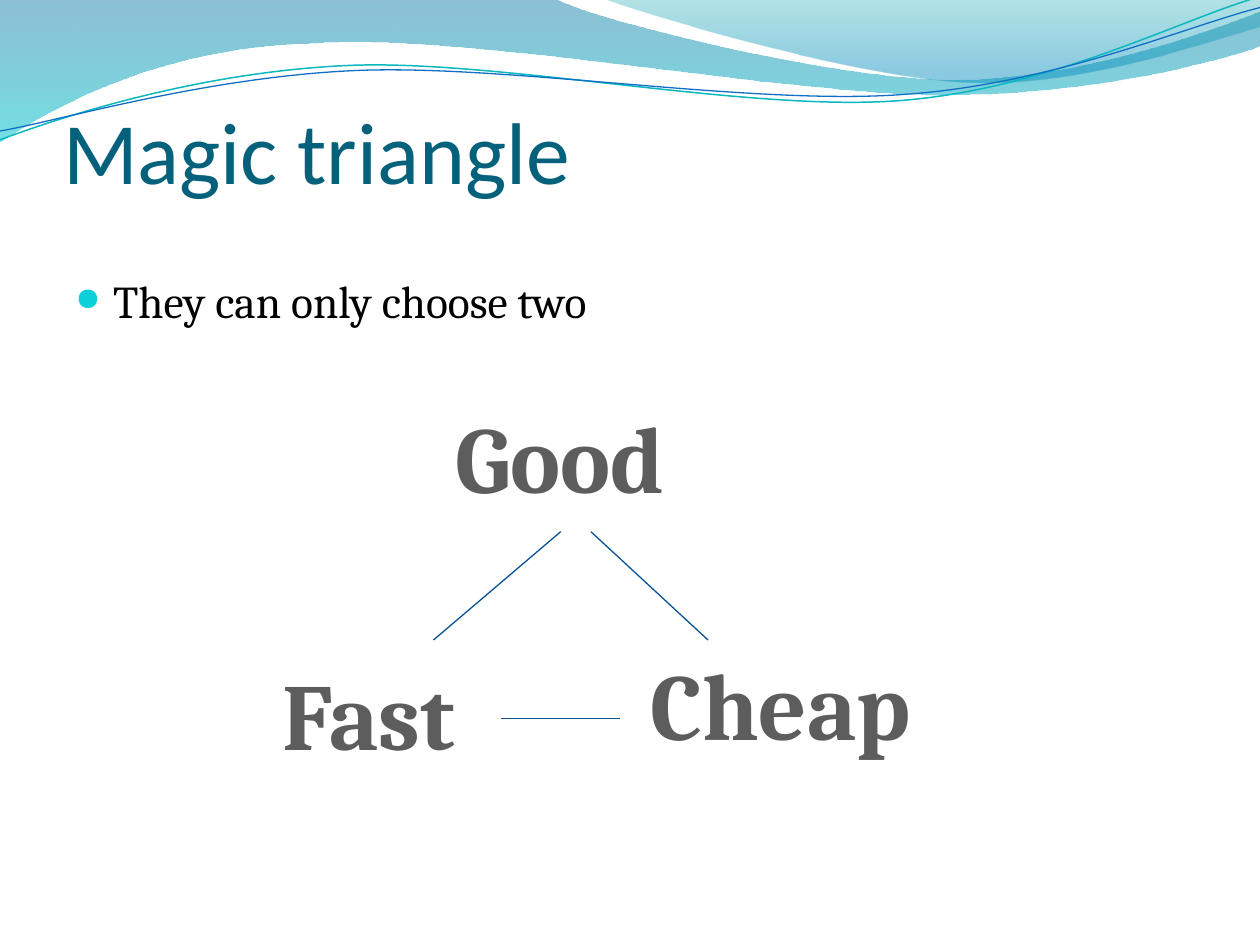
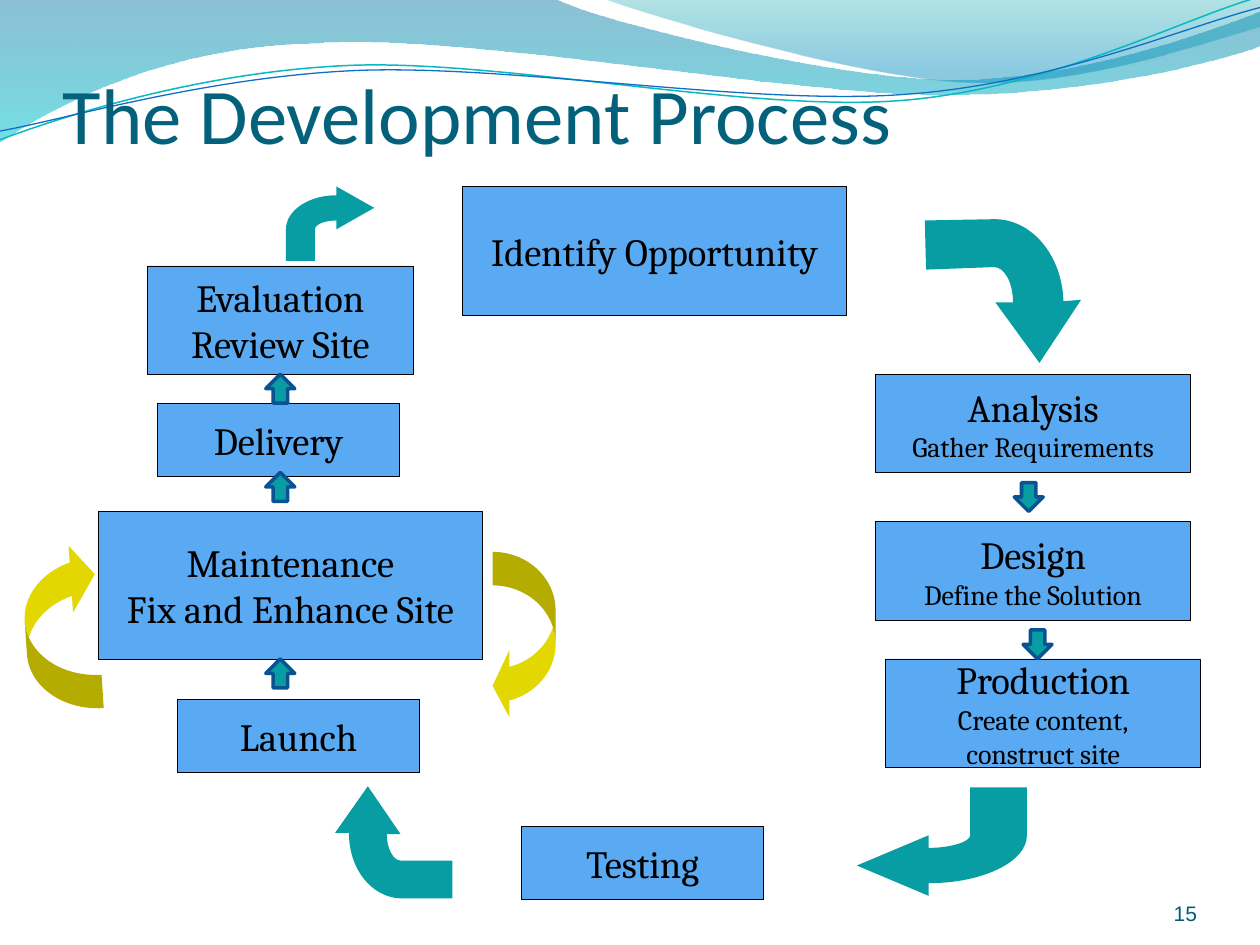
from lxml import etree
from pptx import Presentation
from pptx.dml.color import RGBColor as RGB
from pptx.enum import shapes as es, text as et
from pptx.oxml import ns
from pptx.util import Inches, Pt

NAVY = RGB(0x04, 0x61, 0x7B)
BLACK = RGB(0, 0, 0)
GREY = RGB(0x5D, 0x5D, 0x5D)
SKY = RGB(0x59, 0xAA, 0xF2)
TEAL = RGB(0x08, 0x9C, 0xA3)
GOLD = RGB(0xE2, 0xD7, 0x00)
EDGE = RGB(0x0B, 0x52, 0x92)
LINK = RGB(0x09, 0x52, 0x95)
FOOT = RGB(0x04, 0x5D, 0x75)
AQUA = RGB(0x0A, 0xB8, 0xBF)
BLUE = RGB(0x0F, 0x6F, 0xC6)
DOT = RGB(0x0B, 0xD0, 0xD9)

BANDS = [
    ([(0, 0), (4.4, -.01), (4.76, .17, 6.64, .63, 7.58, .63),
      (8.53, .63, 9.58, .26, 10, .09), (10.01, .36),
      (9.83, .44, 8.7, .76, 7.46, .75), (6.22, .75, 3.82, .28, 2.57, .34),
      (1.29, .36, .46, .83, -.01, 1.13)],
     [(0, RGB(0, 0x74, 0xA1), 45), (1, RGB(0, 0xC6, 0xCF), 55)]),
    ([(4.79, -.01), (5.09, .11, 6.82, .62, 7.69, .65),
      (8.56, .69, 9.61, .32, 10, .21), (10, 0)],
     [(0, RGB(0, 0xA1, 0xA9), 30), (.8, RGB(0, 0x8B, 0xBF), 45)]),
]
WAVES = [
    ([(0, 1.11), (.48, .93, 1.58, .57, 2.77, .52),
      (3.95, .47, 5.93, .89, 7.13, .8), (8.33, .71, 9.38, .15, 9.98, -.02)],
     AQUA, .85),
    ([(0, 1.04), (.47, .96, 1.64, .61, 2.83, .56),
      (4.03, .51, 5.97, .84, 7.17, .75), (8.36, .67, 9.41, .21, 10, .06)],
     BLUE, .75),
]

GOALS = [("Cheap", (5, 5.08, 2.39, 1.01)), ("Fast", (2.11, 5.16, 1.64, 1.01)),
         ("Good", (3.44, 3.12, 2.01, 1.01))]
SIDES = [(4.45, 4.22, 3.44, 5.08), (4.69, 4.22, 5.62, 5.08),
         (3.98, 5.7, 4.92, 5.7)]

STEPS = [
    ((3.67, 1.48, 3.05, 1.02), [("Identify Opportunity", 22)]),
    ((6.95, 2.97, 2.5, .78), [("Analysis", 22), ("Gather Requirements", 16)]),
    ((6.95, 4.14, 2.5, .78), [("Design", 22), ("Define the Solution", 16)]),
    ((7.03, 5.23, 2.5, .86), [("Production", 22), ("Create content,", 16),
                              ("construct site", 16)]),
    ((4.14, 6.56, 1.92, .58), [("Testing", 22)]),
    ((1.41, 5.55, 1.92, .58), [("Launch", 22)]),
    ((.78, 4.06, 3.05, 1.17), [("Maintenance", 22),
                               ("Fix and Enhance Site", 22)]),
    ((1.25, 3.2, 1.92, .58), [("Delivery", 22)]),
    ((1.17, 2.11, 2.11, .86), [("Evaluation", 22), ("Review Site", 22)]),
]
TURNS = [
    [(2.97, 1.65), (2.67, 1.48), (2.67, 1.55),
     (2.45, 1.55, 2.27, 1.67, 2.27, 1.82), (2.27, 2.07), (2.5, 2.07),
     (2.5, 1.82), (2.5, 1.78, 2.58, 1.75, 2.67, 1.75), (2.67, 1.82)],
    [(8.25, 2.88), (8.58, 2.38), (8.44, 2.39),
     (8.43, 2.02, 8.18, 1.73, 7.88, 1.74), (7.34, 1.75), (7.35, 2.14),
     (7.89, 2.12), (7.97, 2.12, 8.04, 2.24, 8.04, 2.4), (7.9, 2.4)],
    [(6.8, 6.87), (7.37, 7.11), (7.37, 7.01),
     (7.8, 7.01, 8.15, 6.84, 8.15, 6.63), (8.15, 6.25), (7.7, 6.25),
     (7.7, 6.63), (7.7, 6.68, 7.55, 6.73, 7.37, 6.73), (7.37, 6.63)],
    [(2.92, 6.24), (2.66, 6.61), (2.77, 6.61),
     (2.77, 6.9, 2.95, 7.12, 3.18, 7.13), (3.59, 7.13), (3.59, 6.83),
     (3.18, 6.83), (3.12, 6.83, 3.07, 6.73, 3.07, 6.62), (3.18, 6.62)],
]
KIND = es.MSO_SHAPE
LOOPS = [((3.91, 4.38, .5, 1.33), 0, (.533, 1.067, .267)),
         ((.2, 4.31, .58, 1.33), 176.2, (.457, .914, .333))]
HOPS = [(KIND.DOWN_ARROW, 8.05, 3.83), (KIND.DOWN_ARROW, 8.12, 5),
        (KIND.UP_ARROW, 2.11, 3.75), (KIND.UP_ARROW, 2.11, 5.23),
        (KIND.UP_ARROW, 2.11, 2.97)]

MID, END = et.PP_ALIGN.CENTER, et.PP_ALIGN.RIGHT
TOP, LOW = et.MSO_ANCHOR.TOP, et.MSO_ANCHOR.BOTTOM


def put(obj, **vals):
    for key, val in vals.items():
        setattr(obj, key, val)


def paint(shape, fill=None, line=None, width=1):
    shape.shadow.inherit = False
    if fill is None:
        shape.fill.background()
    else:
        shape.fill.solid()
        shape.fill.fore_color.rgb = fill
    if line is None:
        shape.line.fill.background()
    else:
        shape.line.color.rgb = line
        shape.line.width = Pt(width)


def write(shape, lines, face, ink, align=None, anchor=TOP, wrap=True,
          bold=False, pad=None):
    frame = shape.text_frame
    put(frame, word_wrap=wrap, vertical_anchor=anchor)
    if pad:
        sides = ("left", "top", "right", "bottom")
        put(frame, **{"margin_" + s: Inches(p) for s, p in zip(sides, pad)})
    for i, (words, size) in enumerate(lines):
        para = frame.add_paragraph() if i else frame.paragraphs[0]
        para.alignment = align
        run = para.add_run()
        run.text = words
        put(run.font, name=face, size=Pt(size), bold=bold)
        run.font.color.rgb = ink
    return frame


def label(slide, box, lines, face, ink, **form):
    area = slide.shapes.add_textbox(*map(Inches, box))
    return write(area, lines, face, ink, **form)


def outline(slide, steps, close=True):
    dots = [(Inches(s[i]), Inches(s[i + 1]))
            for s in steps for i in range(0, len(s), 2)]
    pen = slide.shapes.build_freeform(*dots[0], scale=1.0)
    pen.add_line_segments(dots[1:], close=close)
    shape = pen.convert_to_shape()
    legs = iter(list(shape._element.spPr.iter(ns.qn("a:lnTo"))))
    for step in steps[1:]:
        leg = next(legs)
        if len(step) == 6:
            leg.addprevious(etree.Element(ns.qn("a:cubicBezTo")))
            curve = leg.getprevious()
            for part in (leg, next(legs), next(legs)):
                curve.append(part[0])
                part.getparent().remove(part)
    return shape


def start(deck, title, box, size):
    slide = deck.slides.add_slide(deck.slide_layouts[6])
    for steps, stops in BANDS:
        band = outline(slide, steps)
        paint(band)
        band.fill.gradient()
        band.fill.gradient_angle = 270
        for stop, (place, tint, _) in zip(band.fill.gradient_stops, stops):
            stop.position = place
            stop.color.rgb = tint
        tints = band._element.spPr.iter(ns.qn("a:srgbClr"))
        for node, (_, _, alpha) in zip(list(tints), stops):
            for old in list(node):
                node.remove(old)
            etree.SubElement(node, ns.qn("a:alpha"), val=str(alpha * 1000))
    for steps, tint, width in WAVES:
        paint(outline(slide, steps, False), None, tint, width)
    label(slide, box, [(title, size)], "Calibri", NAVY, anchor=LOW,
          pad=(0, .05, 0, 0))
    return slide


def bullet(para):
    props = para._p.get_or_add_pPr()
    dent = Inches(.3)
    props.set("marL", str(dent))
    props.set("indent", str(-dent))
    tint = etree.SubElement(props, ns.qn("a:buClr"))
    etree.SubElement(tint, ns.qn("a:srgbClr"), val=str(DOT))
    etree.SubElement(props, ns.qn("a:buSzPct"), val="70000")
    etree.SubElement(props, ns.qn("a:buChar"), char="●")


def triangle(deck):
    slide = start(deck, "Magic triangle", (.5, .35, 7.92, 1.25), 50)
    body = label(slide, (.5, 2.12, 9, 4.8), [("They can only choose two", 26)],
                 "Cambria", BLACK)
    bullet(body.paragraphs[0])
    for word, box in GOALS:
        label(slide, box, [(word, 54)], "Cambria", GREY, align=MID,
              wrap=False, bold=True)
    for ends in SIDES:
        side = slide.shapes.add_connector(es.MSO_CONNECTOR.STRAIGHT,
                                          *map(Inches, ends))
        side.line.color.rgb = LINK
        side.line.width = Pt(.75)
        etree.SubElement(side._element.spPr, ns.qn("a:effectLst"))


def process(deck):
    slide = start(deck, "The Development Process", (.5, .42, 9, .85), 45)

    def add(kind, box):
        return slide.shapes.add_shape(kind, *map(Inches, box))

    for box, lines in STEPS:
        step = add(KIND.RECTANGLE, box)
        paint(step, SKY, BLACK, .25)
        write(step, lines, "Cambria", BLACK, align=MID,
              anchor=et.MSO_ANCHOR.MIDDLE, wrap=False)
    for steps in TURNS:
        paint(outline(slide, steps), TEAL)
    for box, turn, bends in LOOPS:
        loop = add(KIND.CURVED_LEFT_ARROW, box)
        paint(loop, GOLD)
        loop.rotation = turn
        for i, bend in enumerate(bends):
            loop.adjustments[i] = bend
    for kind, x, y in HOPS:
        paint(add(kind, (x, y, .23, .23)), TEAL, EDGE, 2)
    label(slide, (8.67, 6.95, .83, .4), [("15", 12)], "Arial", FOOT,
          align=END, anchor=LOW, pad=(0, 0, 0, 0))


def main():
    deck = Presentation()
    put(deck, slide_width=Inches(10), slide_height=Inches(7.5))
    triangle(deck)
    process(deck)
    deck.save("out.pptx")


if __name__ == "__main__":
    main()
